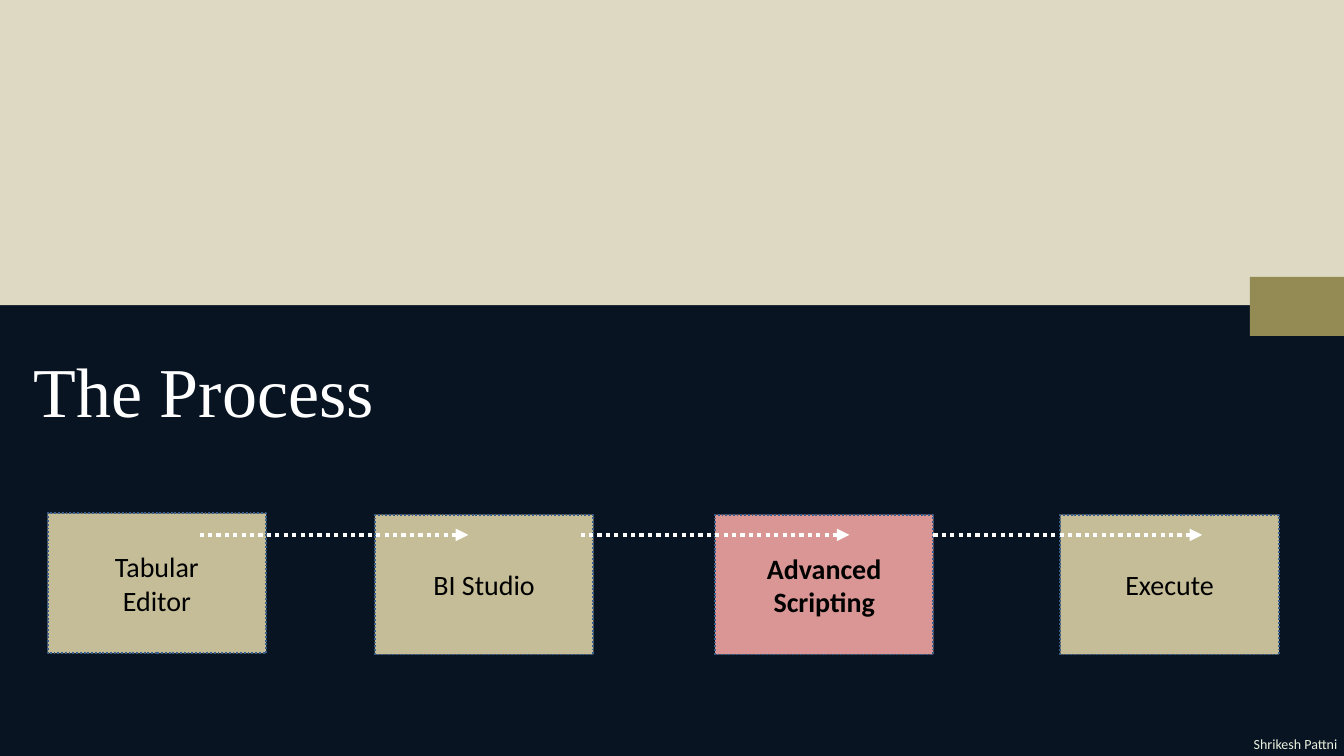
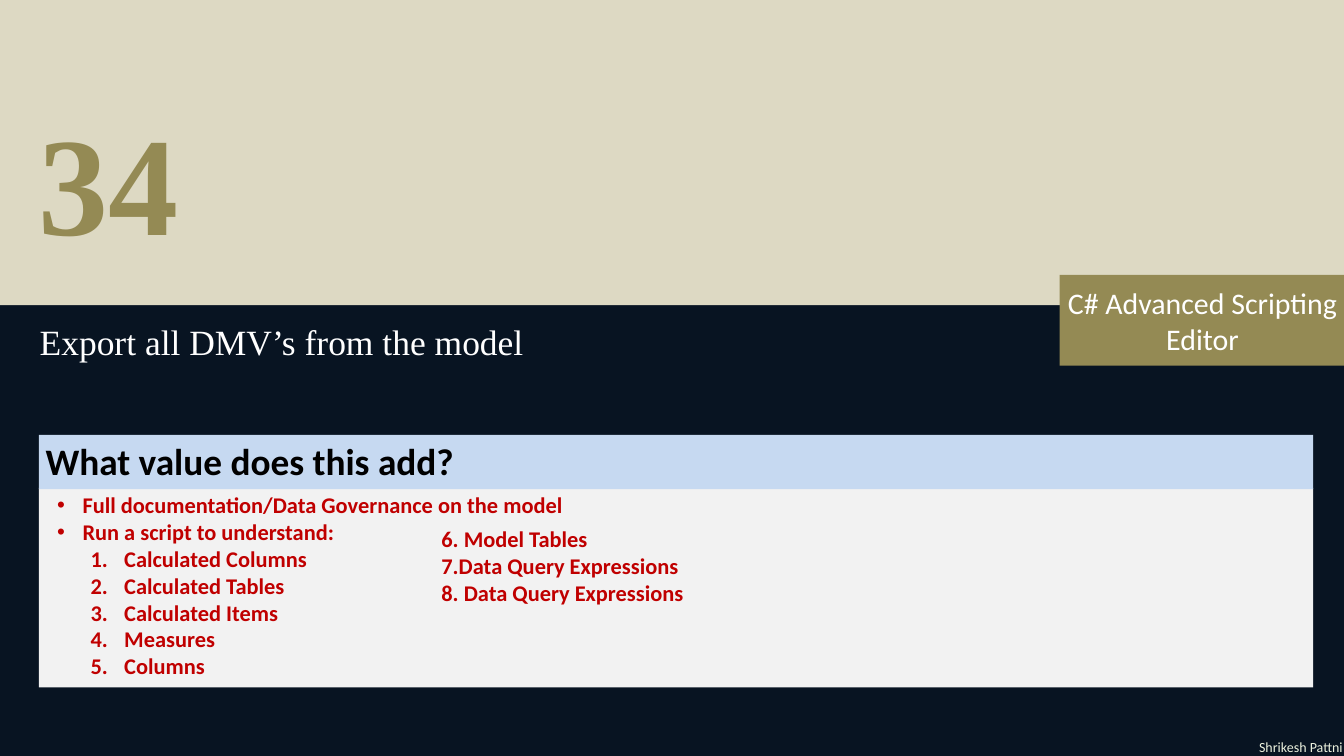
from lxml import etree
from pptx import Presentation
from pptx import util as u
from pptx.dml.color import RGBColor
from pptx.enum import dml, shapes, text
from pptx.oxml.ns import qn

NAVY, BEIGE, OLIVE, WHITE, BLACK = "081422", "DDD9C3", "948A54", "FFFFFF", "000000"
SAND, PINK, EDGE = "C4BD97", "D99694", "3A5F8C"
PALE, ICE, RED, MINT = "F2F2F2", "C6D9F1", "C00000", "EBF1DE"
SANS, SERIF = "Calibri", "Times New Roman"
SLIDE_W, SLIDE_H = 20, 11.25


def rgb(value):
    return RGBColor.from_string(value)


def write(sp, lines, size, color, name=SANS, bold=False, inset=True,
          anchor=text.MSO_ANCHOR.TOP, **para):
    """Put lines into a shape, one paragraph each, and return the paragraphs."""
    tf = sp.text_frame
    frame = {"word_wrap": True, "vertical_anchor": anchor}
    if not inset:
        frame.update(dict.fromkeys(
            ("margin_left", "margin_top", "margin_right", "margin_bottom"), 0))
    for key, value in frame.items():
        setattr(tf, key, value)
    for i, line in enumerate(lines):
        p = tf.add_paragraph() if i else tf.paragraphs[0]
        for key, value in para.items():
            setattr(p, key, value)
        r = p.add_run()
        r.text = line
        for key, value in {"size": u.Pt(size), "name": name, "bold": bold}.items():
            setattr(r.font, key, value)
        r.font.color.rgb = rgb(color)
    return tf.paragraphs


def textbox(s, box, lines, size, color, **fmt):
    sp = s.shapes.add_textbox(*map(u.Inches, box))
    return write(sp, lines, size, color, **fmt)


def style_line(line, color, width):
    line.color.rgb = rgb(color)
    line.width = u.Pt(width)
    line.dash_style = dml.MSO_LINE.ROUND_DOT


def rect(s, box, fill):
    sp = s.shapes.add_shape(shapes.MSO_SHAPE.RECTANGLE, *map(u.Inches, box))
    sp.shadow.inherit = False
    sp.fill.solid()
    sp.fill.fore_color.rgb = rgb(fill)
    sp.line.fill.background()
    return sp


def arrow(s, x, y, length):
    c = s.shapes.add_connector(shapes.MSO_CONNECTOR.STRAIGHT,
                               *map(u.Inches, (x, y, x + length, y)))
    style_line(c.line, WHITE, 4.5)
    etree.SubElement(c.line._get_or_add_ln(), qn("a:tailEnd"), type="triangle")
    etree.SubElement(c._element.spPr, qn("a:effectLst"))


def bullet(p, indent, hanging, number=None):
    """Give a paragraph a dot, or a number in the given scheme."""
    pPr = p._p.get_or_add_pPr()
    pPr.set("marL", str(u.Inches(indent)))
    pPr.set("indent", str(-u.Inches(hanging)))
    if number:
        etree.SubElement(pPr, qn("a:buFont"), typeface="+mj-lt")
        etree.SubElement(pPr, qn("a:buAutoNum"), type=number)
    else:
        etree.SubElement(pPr, qn("a:buFont"), typeface="Arial")
        etree.SubElement(pPr, qn("a:buChar"), char="•")


def base_slide(prs, author_left, author_top):
    """Add a navy slide with the beige top band and the author's name."""
    s = prs.slides.add_slide(prs.slide_layouts[6])
    s.background.fill.solid()
    s.background.fill.fore_color.rgb = rgb(NAVY)
    rect(s, (0, -0.04, SLIDE_W, 4.58), BEIGE)
    textbox(s, (author_left, author_top, 2.04, 0.35), ["Shrikesh Pattni"],
            15, MINT, alignment=text.PP_ALIGN.RIGHT)
    return s


def tag(s, box, label=None):
    sp = rect(s, box, OLIVE)
    if label:
        write(sp, [label], 32, WHITE, anchor=text.MSO_ANCHOR.MIDDLE,
              alignment=text.PP_ALIGN.CENTER)


def step(s, left, top, lines, key_step):
    sp = rect(s, (left, top, 3.25, 2.08), PINK if key_step else SAND)
    style_line(sp.line, EDGE, 2)
    write(sp, lines, 30, BLACK, bold=key_step, anchor=text.MSO_ANCHOR.MIDDLE,
          alignment=text.PP_ALIGN.CENTER)


def value_panel(s, left, top, width):
    """Draw the heading bar and, below it, the panel with both lists."""
    body = top + 0.79
    rect(s, (left, body, width, 2.97), PALE)
    write(rect(s, (left, top, width, 0.81), ICE), ["What value does this add?"],
          40, BLACK, bold=True, alignment=text.PP_ALIGN.LEFT)

    points = ["Full documentation/Data Governance on the model",
              "Run a script to understand:"]
    items = ["Calculated Columns", "Calculated Tables", "Calculated Items",
             "Measures", "Columns"]
    paragraphs = textbox(s, (left + 0.17, body, 10.49, 2.97), points + items,
                         24, RED, bold=True)
    for p in paragraphs[:len(points)]:
        bullet(p, 0.38, 0.38)
    for p in paragraphs[len(points):]:
        p.level = 1
        bullet(p, 1, 0.5, "arabicPeriod")

    textbox(s, (left + 5.89, body + 0.51, 8.35, 1.32),
            ["6. Model Tables", "7.Data Query Expressions", "8. Data Query Expressions"],
            24, RED, bold=True)


def process_slide(prs):
    s = base_slide(prs, 17.96, 10.9)
    tag(s, (18.6, 4.12, 1.4, 0.88))
    textbox(s, (0.5, 5, 15, 1.35), ["The Process"], 75, WHITE, name=SERIF,
            inset=False, line_spacing=u.Pt(102))
    steps = [(0.71, 7.64, ["Tabular", "Editor"], False),
             (5.58, 7.66, ["BI Studio"], False),
             (10.64, 7.66, ["Advanced", "Scripting"], True),
             (15.78, 7.66, ["Execute"], False)]
    for args in steps:
        step(s, *args)
    for x in (2.97, 8.64, 13.89):
        arrow(s, x, 7.96, 4)


def export_slide(prs):
    s = base_slide(prs, 18.04, 10.94)
    textbox(s, (0.58, 2.5, 15, 1.62), ["34"], 150, OLIVE, name=SERIF, bold=True,
            inset=False, line_spacing=u.Pt(102))
    textbox(s, (0.59, 4.44, 19.14, 0.86), ["Export all DMV’s from the model"],
            38, WHITE, name=SERIF, inset=False, line_spacing=1.5)
    tag(s, (15.77, 4.09, 4.25, 1.35), "C# Advanced Scripting Editor")
    value_panel(s, 0.58, 6.47, 18.96)


def main():
    prs = Presentation()
    prs.slide_width, prs.slide_height = u.Inches(SLIDE_W), u.Inches(SLIDE_H)
    process_slide(prs)
    export_slide(prs)
    prs.save("out.pptx")


if __name__ == "__main__":
    main()
